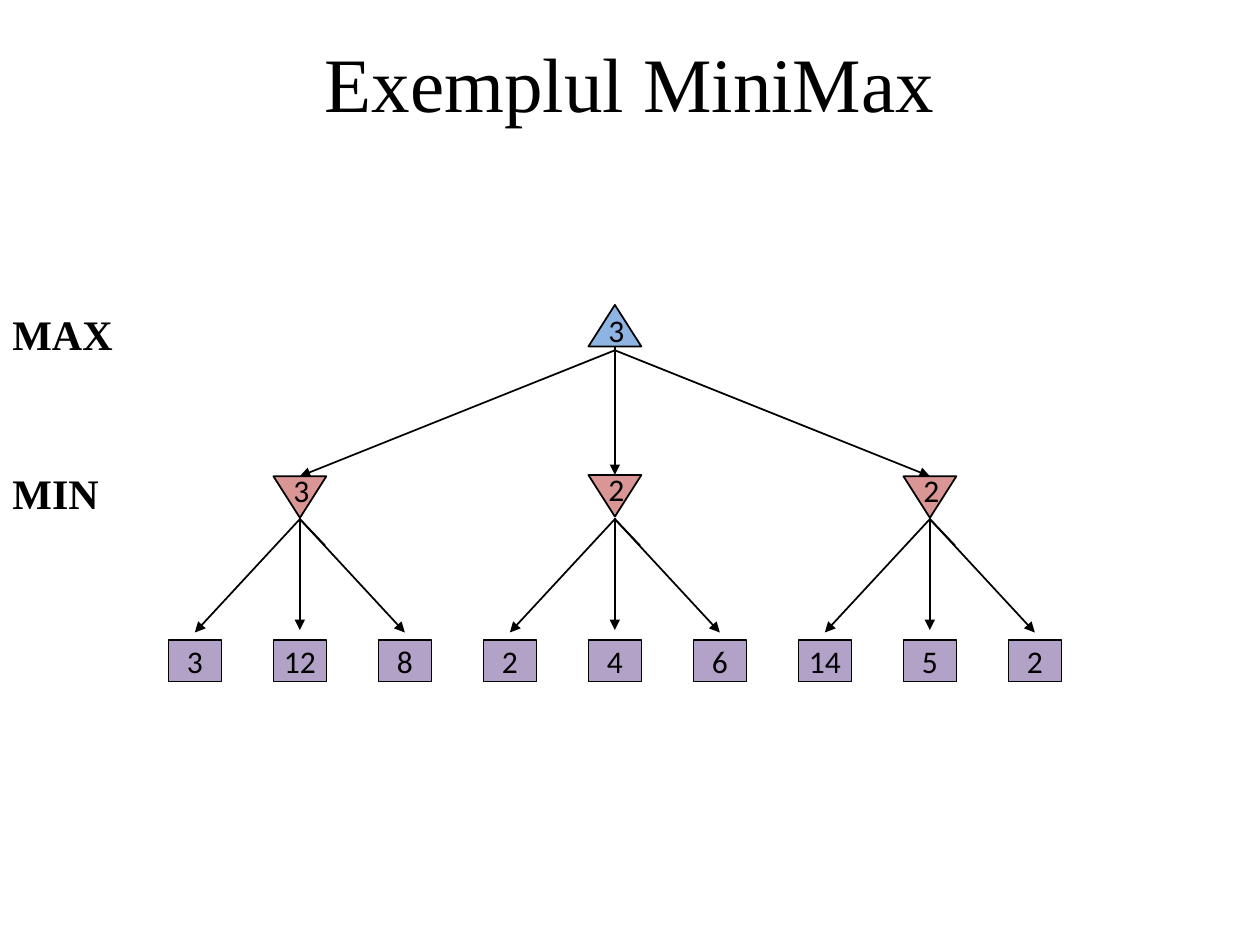
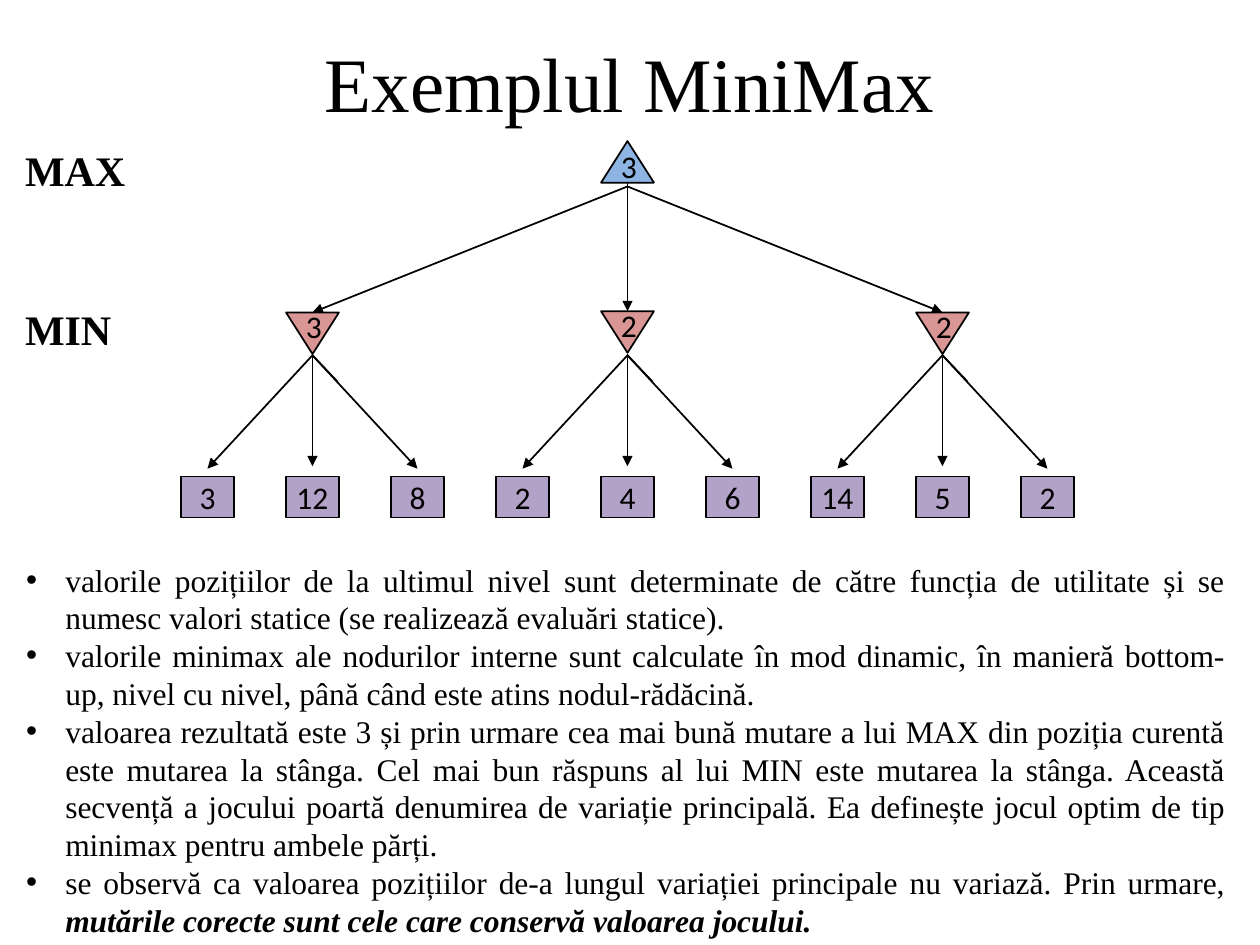
import pptx
import pptx.util
import pptx.dml.color
import pptx.enum.shapes
import pptx.enum.text
import pptx.oxml
import pptx.oxml.ns
from pptx.util import Inches

SERIF, SANS = "Times New Roman", "Calibri"
BLACK, BLUE, RED, VIOLET = "000000", "8EB4E3", "D99694", "B3A2C7"
KIND = pptx.enum.shapes.MSO_SHAPE
ALIGN = pptx.enum.text.PP_ALIGN
MIDDLE = pptx.enum.text.MSO_ANCHOR.MIDDLE
WIDE, HIGH = 0.42, 0.33
GAP = 2.5
LEAVES = [[3, 12, 8], [2, 4, 6], [14, 5, 2]]
MINS = [min(group) for group in LEAVES]
NOTES = [
    [("valorile pozițiilor de la ultimul nivel sunt determinate de către funcția de utilitate și se numesc valori statice (se realizează evaluări statice).", False)],
    [("valorile minimax ale nodurilor interne sunt calculate în mod dinamic, în manieră bottom-up, nivel cu nivel, până când este atins nodul-rădăcină.", False)],
    [("valoarea rezultată este 3 și prin urmare cea mai bună mutare a lui MAX din poziția curentă este mutarea la stânga. Cel mai bun răspuns al lui MIN este mutarea la stânga. Această secvență a jocului poartă denumirea de variație principală. Ea definește jocul optim de tip minimax pentru ambele părți.", False)],
    [("se observă ca valoarea pozițiilor de-a lungul variației principale nu variază. Prin urmare, ", False),
     ("mutările corecte sunt cele care conservă valoarea jocului.", True)],
]


def color(code):
    return pptx.dml.color.RGBColor.from_string(code)


def add_xml(parent, tag, **attrs):
    node = pptx.oxml.parse_xml(f"<a:{tag} {pptx.oxml.ns.nsdecls('a')}/>")
    for key, value in attrs.items():
        node.set(key, value)
    parent.append(node)


class Deck:
    def __init__(self):
        self.show = pptx.Presentation()
        self.show.slide_width, self.show.slide_height = Inches(10), Inches(7.5)
        self.dx = self.dy = 0

    def start(self, title, dx=0, dy=0):
        self.slide = self.show.slides.add_slide(self.show.slide_layouts[6])
        self.dx = self.dy = 0
        box = self.text(0.5, 0.02, 9, 1.25, title, 44, align=ALIGN.CENTER)
        box.text_frame.vertical_anchor = MIDDLE
        self.dx, self.dy = dx, dy

    def place(self, x, y):
        return Inches(x + self.dx), Inches(y + self.dy)

    def run(self, para, text, size, font=SERIF, bold=False, italic=False):
        run = para.add_run()
        run.text = text
        run.font.size = pptx.util.Pt(size)
        run.font.name = font
        run.font.bold, run.font.italic = bold, italic
        run.font.color.rgb = color(BLACK)

    def text(self, x, y, w, h, text, size, font=SERIF, bold=False, align=ALIGN.LEFT):
        box = self.slide.shapes.add_textbox(*self.place(x, y), Inches(w), Inches(h))
        box.text_frame.word_wrap = True
        para = box.text_frame.paragraphs[0]
        para.alignment = align
        self.run(para, text, size, font, bold)
        return box

    def shape(self, kind, x, y, fill, width=1):
        shape = self.slide.shapes.add_shape(kind, *self.place(x, y), Inches(WIDE), Inches(HIGH))
        shape.shadow.inherit = False
        shape.fill.solid()
        shape.fill.fore_color.rgb = color(fill)
        shape.line.color.rgb = color(BLACK)
        shape.line.width = pptx.util.Pt(width)
        return shape

    def leaf(self, x, y, value):
        frame = self.shape(KIND.RECTANGLE, x, y, VIOLET, 0.75).text_frame
        frame.word_wrap = False
        frame.vertical_anchor = MIDDLE
        frame.paragraphs[0].alignment = ALIGN.CENTER
        self.run(frame.paragraphs[0], str(value), 18, SANS)

    def node(self, mid, y, value, down, fill):
        shape = self.shape(KIND.ISOSCELES_TRIANGLE, mid - WIDE / 2, y, fill)
        shape.rotation = 180 if down else 0
        top = y - 0.09 if down else y
        self.text(mid - 0.15, top, 0.27, 0.4, str(value), 18, SANS)

    def line(self, x1, y1, x2, y2, arrow=True):
        straight = pptx.enum.shapes.MSO_CONNECTOR.STRAIGHT
        line = self.slide.shapes.add_connector(straight, *self.place(x1, y1), *self.place(x2, y2))
        line.line.color.rgb = color(BLACK)
        line.line.width = pptx.util.Pt(1)
        if arrow:
            add_xml(line.line._get_or_add_ln(), "tailEnd", type="triangle")
        add_xml(line._element.spPr, "effectLst")

    def bullets(self, x, y, w, h, items):
        box = self.slide.shapes.add_textbox(Inches(x), Inches(y), Inches(w), Inches(h))
        frame = box.text_frame
        frame.word_wrap = True
        for i, item in enumerate(items):
            para = frame.add_paragraph() if i else frame.paragraphs[0]
            para.alignment = ALIGN.JUSTIFY
            props = para._p.get_or_add_pPr()
            props.set("marL", str(Inches(0.31)))
            props.set("indent", str(-Inches(0.31)))
            add_xml(props, "buFont", typeface="Arial")
            add_xml(props, "buChar", char="•")
            for text, strong in item:
                self.run(para, text, 18, bold=strong, italic=strong)

    def tree(self, widths):
        root = 4.88
        for i, group in enumerate(LEAVES):
            mid = root + (i - 1) * GAP
            top = 3.77 if i == 1 else 3.78
            self.line(root, 2.78, mid, top)
            self.node(mid, top, MINS[i], True, RED)
            for j, value in enumerate(group):
                x = mid + (j - 1) * GAP / 3
                self.line(mid, 4.12, x, 5 if j == 1 else 5.02)
                self.leaf(x - WIDE / 2, 5.08, value)
            self.line(mid, 4.11, mid, 4.45, arrow=False)
            self.line(mid, 4.12, mid + 0.2, 4.33, arrow=False)
        self.line(root, 2.75, root, 3.08, arrow=False)
        self.node(root, 2.42, max(MINS), False, BLUE)
        for label, y, width in zip(["MAX", "MIN"], [2.4, 3.66], widths):
            self.text(0, y, width, 0.5, label, 24, bold=True)


def main():
    deck = Deck()
    title = "Exemplul MiniMax"
    deck.start(title)
    deck.tree([1.1, 0.98])
    deck.start(title, 0.1, -1.3)
    deck.tree([2.49, 2.49])
    deck.bullets(0.11, 4.4, 9.72, 3.13, NOTES)
    deck.show.save("out.pptx")


if __name__ == "__main__":
    main()
